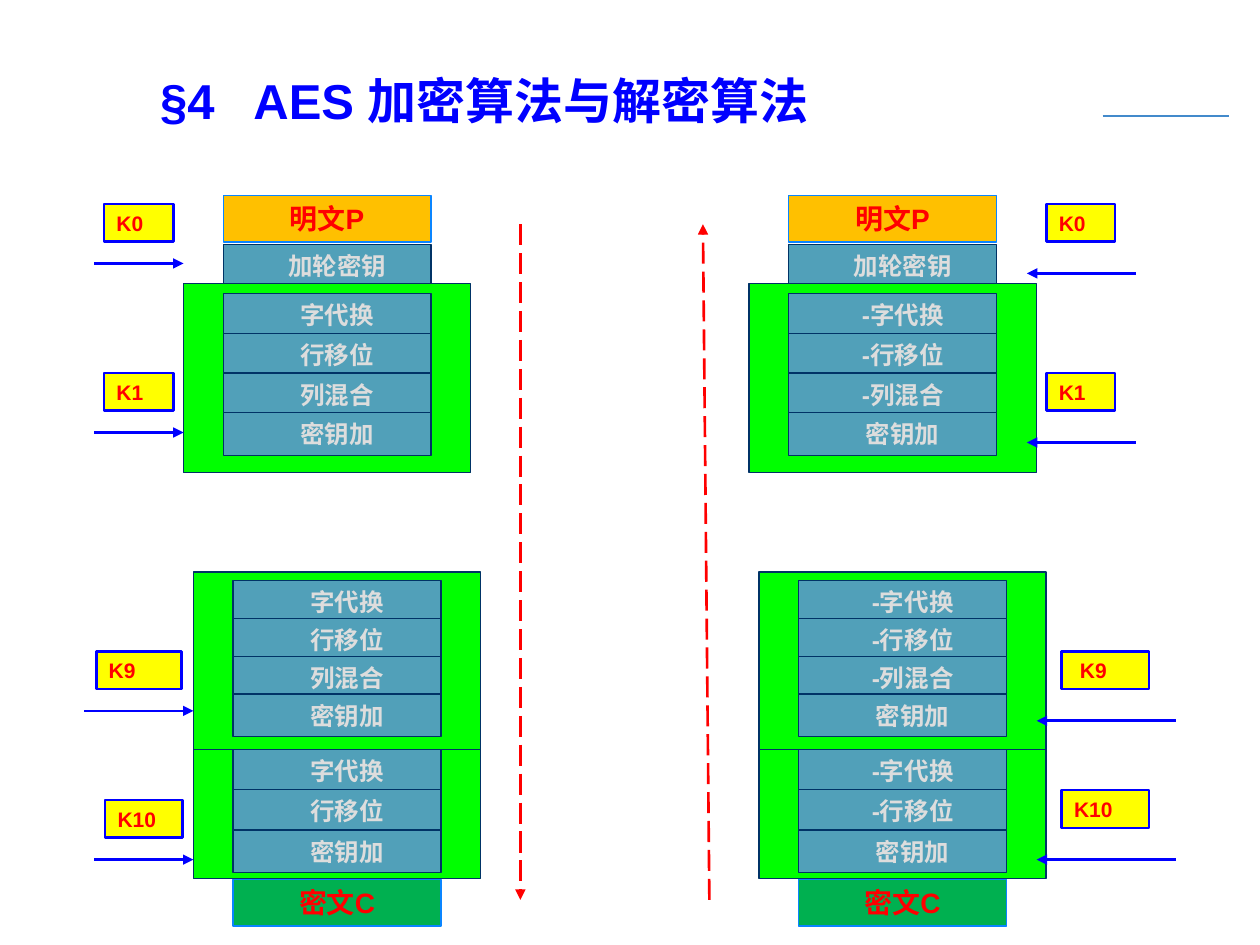
import pptx
import pptx.dml.color
import pptx.enum.dml
import pptx.enum.shapes
import pptx.enum.text
import pptx.oxml
import pptx.oxml.ns
import pptx.util
from lxml import etree

Cm = pptx.util.Cm
Pt = pptx.util.Pt
ALIGN = pptx.enum.text.PP_ALIGN
ANCHOR = pptx.enum.text.MSO_ANCHOR
STEP_WIDTH, STEP_HEIGHT, DATA_HEIGHT = 4.19, 0.86, 0.94
PANEL_WIDTH, PANEL_INSET, LOWER_SHIFT = 5.79, 0.8, 0.2
KEY_HEIGHT = 0.76


def color(value):
    return pptx.dml.color.RGBColor.from_string(value)


def add_child(parent, tag, **attributes):
    return etree.SubElement(parent, pptx.oxml.ns.qn(tag), **attributes)


def style_text(paragraph, size, ink):
    paragraph.font.name = "Arial"
    paragraph.font.size = Pt(size)
    paragraph.font.bold = True
    paragraph.font.color.rgb = color(ink)


def add_block(slide, left, top, width, height, fill, outline, weight=0.75):
    block = slide.shapes.add_shape(
        pptx.enum.shapes.MSO_SHAPE.RECTANGLE, Cm(left), Cm(top), Cm(width), Cm(height))
    block.shadow.inherit = False
    block.fill.solid()
    block.fill.fore_color.rgb = color(fill)
    block.line.color.rgb = color(outline)
    block.line.width = Pt(weight)
    return block


def label_block(block, text, size, ink, align=ALIGN.CENTER, inset=0.25):
    frame = block.text_frame
    frame.word_wrap = True
    frame.vertical_anchor = ANCHOR.MIDDLE
    frame.margin_left = Cm(inset)
    paragraph = frame.paragraphs[0]
    paragraph.text = text
    paragraph.alignment = align
    style_text(paragraph, size, ink)


def add_line(slide, start, end, ink, weight=1.5, arrow=True, dash=None):
    line = slide.shapes.add_connector(
        pptx.enum.shapes.MSO_CONNECTOR.STRAIGHT, *map(Cm, (*start, *end)))
    line.line.color.rgb = color(ink)
    line.line.width = Pt(weight)
    if dash:
        line.line.dash_style = dash
    if arrow:
        add_child(line.line._get_or_add_ln(), "a:tailEnd", type="triangle")
    add_child(line._element.spPr, "a:effectLst")


def add_step(slide, left, top, text):
    step = add_block(slide, left, top, STEP_WIDTH, STEP_HEIGHT, "51A0B9", "003366")
    label_block(step, text, 14, "DDDDDD", inset=0.66)


def add_data(slide, left, top, text, fill):
    data = add_block(slide, left, top, STEP_WIDTH, DATA_HEIGHT, fill, "0A85FF")
    label_block(data, text, 16, "FF0000")


def add_round(slide, left, top, height, first_step, pitch, steps):
    add_block(slide, left, top, PANEL_WIDTH, height, "00FF00", "003366")
    for index, step in enumerate(steps):
        add_step(slide, left + PANEL_INSET, top + first_step + index * pitch, step)


def add_cipher_column(slide, left, top, inverse):
    substitute, shift, mix = (inverse + name for name in ("字代换", "行移位", "列混合"))
    full_round = [substitute, shift, mix, "密钥加"]
    lower = left + LOWER_SHIFT
    add_data(slide, left + PANEL_INSET, top, "明文P", "FFC000")
    add_step(slide, left + PANEL_INSET, top + 0.99, "加轮密钥")
    add_round(slide, left, top + 1.78, 3.81, 0.2, 0.8, full_round)
    add_round(slide, lower, top + 7.59, 3.61, 0.18, 0.76, full_round)
    add_round(slide, lower, top + 11.17, 2.6, 0, 0.81, [substitute, shift, "密钥加"])
    add_data(slide, lower + PANEL_INSET, top + 13.79, "密文C", "00B050")


def add_round_key(slide, left, top, length, name, from_left):
    offset, share, drop = (0.11, 0.78, 1.2) if from_left else (0.18, 0.63, 1.4)
    ends = [(left, top + drop), (left + length, top + drop)]
    start, end = ends if from_left else reversed(ends)
    add_line(slide, start, end, "0000FF")
    key = add_block(slide, left + offset * length, top, share * length, KEY_HEIGHT,
                    "FFFF00", "0000FF", 1.5)
    label_block(key, name, 12, "FF0000", ALIGN.LEFT)


def add_title(slide, left, top, width, height):
    title = slide.shapes.add_textbox(Cm(left), Cm(top), Cm(width), Cm(height))
    frame = title.text_frame
    frame.word_wrap = True
    frame.margin_left = Cm(1.93)
    frame.margin_top = frame.margin_bottom = Cm(0.1)
    paragraph = frame.paragraphs[0]
    paragraph.text = "§4\tAES 加密算法与解密算法"
    tabs = add_child(paragraph._p.get_or_add_pPr(), "a:tabLst")
    add_child(tabs, "a:tab", pos=str(Cm(1.88)), algn="l")
    style_text(paragraph, 28, "0000FF")


def main():
    deck = pptx.Presentation()
    deck.slide_width, deck.slide_height = Cm(25.4), Cm(19.05)
    slide = deck.slides.add_slide(deck.slide_layouts[6])

    add_line(slide, (22.23, 2.34), (24.77, 2.34), "438ACB", 0.75, arrow=False)
    add_title(slide, 1.3, 1.32, 22.58, 1.4)
    add_cipher_column(slide, 3.7, 3.94, "")
    add_cipher_column(slide, 15.1, 3.94, "-")

    long_dash = pptx.enum.dml.MSO_LINE.LONG_DASH
    add_line(slide, (10.49, 4.52), (10.49, 18.14), "FF0000", dash=long_dash)
    add_line(slide, (14.3, 18.14), (14.17, 4.52), "FF0000", dash=long_dash)

    for left, top, length, name, from_left in (
            (1.9, 4.11, 1.8, "K0", True),
            (1.9, 7.52, 1.8, "K1", True),
            (1.7, 13.13, 2.2, "K9", True),
            (1.9, 16.13, 2, "K10", True),
            (20.7, 4.11, 2.2, "K0", False),
            (20.7, 7.52, 2.2, "K1", False),
            (20.9, 13.13, 2.8, " K9", False),
            (20.9, 15.93, 2.8, "K10", False)):
        add_round_key(slide, left, top, length, name, from_left)

    deck.save("out.pptx")


if __name__ == "__main__":
    main()
